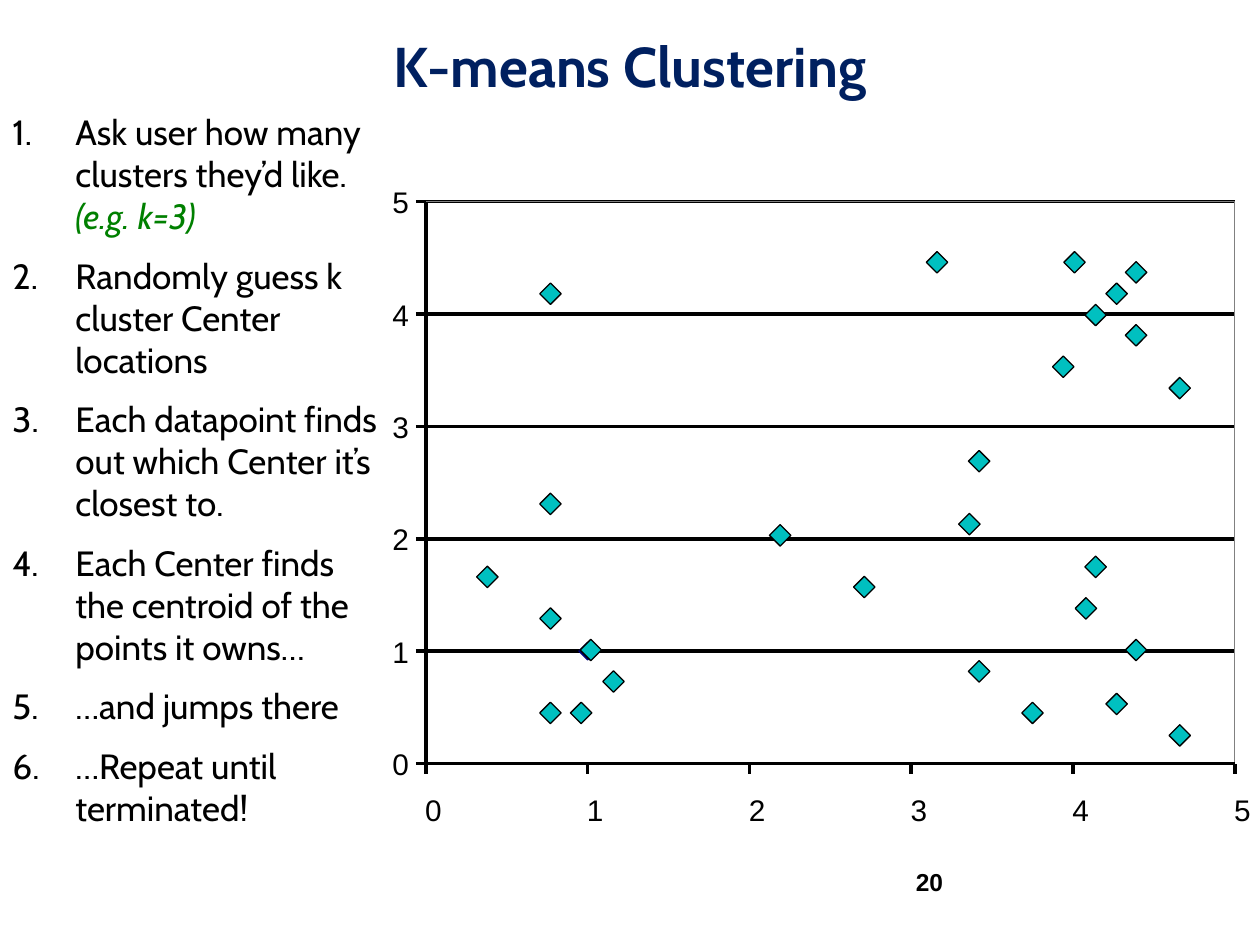
import pptx
import pptx.dml.color
import pptx.enum.shapes
import pptx.enum.text
import pptx.util
from lxml import etree
from pptx.oxml.ns import qn
from pptx.util import Inches

RGBColor = pptx.dml.color.RGBColor
MSO_SHAPE = pptx.enum.shapes.MSO_SHAPE
PP_ALIGN = pptx.enum.text.PP_ALIGN
MSO_ANCHOR = pptx.enum.text.MSO_ANCHOR
MSO_AUTO_SIZE = pptx.enum.text.MSO_AUTO_SIZE

BLACK = RGBColor(0x00, 0x00, 0x00)
WHITE = RGBColor(0xFF, 0xFF, 0xFF)
GRAY = RGBColor(0x80, 0x80, 0x80)
NAVY = RGBColor(0x00, 0x00, 0x80)
TITLE_BLUE = RGBColor(0x00, 0x20, 0x60)
GREEN = RGBColor(0x00, 0x80, 0x00)
TEAL = RGBColor(0x00, 0xC0, 0xC0)

AXIS_MAXIMUM = 5
TICK_LENGTH = 0.08
DATAPOINTS = [
    (1.02, 1.01), (1.16, 0.73), (0.96, 0.45), (0.77, 1.29), (0.77, 4.18),
    (0.77, 2.31), (0.77, 0.45), (0.38, 1.66), (2.19, 2.03), (4.01, 4.46),
    (4.39, 4.37), (4.27, 4.18), (4.14, 3.99), (4.39, 3.81), (4.66, 3.34),
    (3.16, 4.46), (3.42, 2.69), (3.42, 0.82), (3.75, 0.45), (4.08, 1.38),
    (3.36, 2.13), (2.71, 1.57), (4.39, 1.01), (4.27, 0.53), (4.14, 1.75),
    (4.66, 0.25), (3.94, 3.53),
]
STEPS = [
    [("Ask user how many clusters they’d like. ", BLACK, False),
     ("(e.g. k=3)", GREEN, True)],
    [("Randomly guess k cluster Center locations", BLACK, False)],
    [("Each datapoint finds out which Center it’s closest to.", BLACK, False)],
    [("Each Center finds the centroid of the points it owns…", BLACK, False)],
    [("…and jumps there", BLACK, False)],
    [("…Repeat until terminated!", BLACK, False)],
]


def add_text_box(slide, left, top, width, height):
    box = slide.shapes.add_textbox(Inches(left), Inches(top), Inches(width), Inches(height))
    box.text_frame.word_wrap = True
    return box.text_frame


def add_run(paragraph, text, size, font, color, bold=False, italic=False):
    run = paragraph.add_run()
    run.text = text
    run.font.size = pptx.util.Pt(size)
    run.font.name = font
    run.font.color.rgb = color
    run.font.bold = bold
    run.font.italic = italic


def add_line(slide, x1, y1, x2, y2):
    line = slide.shapes.add_connector(
        pptx.enum.shapes.MSO_CONNECTOR.STRAIGHT,
        Inches(x1), Inches(y1), Inches(x2), Inches(y2))
    line.line.color.rgb = BLACK
    line.line.width = pptx.util.Pt(0)
    etree.SubElement(line._element.spPr, qn("a:effectLst"))


def add_figure(slide, kind, left, top, width, height, fill=None, outline=None, weight=0.63):
    shape = slide.shapes.add_shape(
        kind, Inches(left), Inches(top), Inches(width), Inches(height))
    shape.shadow.inherit = False
    if fill is None:
        shape.fill.background()
    else:
        shape.fill.solid()
        shape.fill.fore_color.rgb = fill
    if outline is None:
        shape.line.fill.background()
    else:
        shape.line.color.rgb = outline
        shape.line.width = pptx.util.Pt(weight)


def add_marker(slide, x, y, size, fill, outline, weight):
    add_figure(slide, MSO_SHAPE.DIAMOND, x - size / 2, y - size / 2, size, size,
               fill, outline, weight)


def add_axis_label(slide, x, y, value):
    """Place a tick number centred on (x, y)."""
    frame = add_text_box(slide, x - 0.065, y - 0.14, 0.13, 0.28)
    frame.margin_left = frame.margin_right = frame.margin_top = frame.margin_bottom = 0
    frame.word_wrap = False
    frame.auto_size = MSO_AUTO_SIZE.SHAPE_TO_FIT_TEXT
    frame.paragraphs[0].alignment = PP_ALIGN.CENTER
    add_run(frame.paragraphs[0], str(value), 17, "Arial", BLACK)


def add_title(slide, left, top, width, height):
    frame = add_text_box(slide, left, top, width, height)
    frame.vertical_anchor = MSO_ANCHOR.BOTTOM
    paragraph = frame.paragraphs[0]
    paragraph.alignment = PP_ALIGN.CENTER
    paragraph.line_spacing = pptx.util.Pt(36)
    add_run(paragraph, "K-means Clustering", 32, "Cabin", TITLE_BLUE, bold=True)


def add_scatter_plot(slide, left, top, width, height):
    right, bottom = left + width, top + height
    ticks = range(AXIS_MAXIMUM + 1)

    def x_at(value):
        return left + width * value / AXIS_MAXIMUM

    def y_at(value):
        return bottom - height * value / AXIS_MAXIMUM

    # Plot area, gridlines and frame
    add_figure(slide, MSO_SHAPE.RECTANGLE, left, top, width, height, fill=WHITE)
    for value in ticks[1:]:
        add_line(slide, left, y_at(value), right, y_at(value))
    add_figure(slide, MSO_SHAPE.RECTANGLE, left, top, width, height, outline=GRAY)

    # Axes with ticks and numbers
    add_line(slide, left, top, left, bottom)
    add_line(slide, left, bottom, right, bottom)
    for value in ticks:
        add_line(slide, left - TICK_LENGTH, y_at(value), left, y_at(value))
        add_line(slide, x_at(value), bottom + TICK_LENGTH, x_at(value), bottom)
        add_axis_label(slide, left - 0.2, y_at(value), value)
        add_axis_label(slide, x_at(value) + 0.06, bottom + 0.36, value)

    # Navy marker at (1, 1), then the datapoints
    add_marker(slide, x_at(1), y_at(1), 0.14, NAVY, NAVY, 0.63)
    for x, y in DATAPOINTS:
        add_marker(slide, x_at(x), y_at(y), 0.17, TEAL, BLACK, 0.75)


def add_steps(slide, left, top, width, height):
    frame = add_text_box(slide, left, top, width, height)
    for index, runs in enumerate(STEPS):
        paragraph = frame.add_paragraph() if index else frame.paragraphs[0]
        if index:
            paragraph.space_before = pptx.util.Pt(10)
        for text, color, italic in runs:
            add_run(paragraph, text, 20, "Cabin", color, italic=italic)
        # Hanging number
        properties = paragraph._p.get_or_add_pPr()
        properties.set("marL", str(Inches(0.5)))
        properties.set("indent", str(Inches(-0.5)))
        bullet_color = etree.SubElement(properties, qn("a:buClr"))
        etree.SubElement(bullet_color, qn("a:srgbClr"), val=str(BLACK))
        etree.SubElement(properties, qn("a:buAutoNum"), type="arabicPeriod")


def add_slide_number(slide, left, top, width, height):
    frame = add_text_box(slide, left, top, width, height)
    add_run(frame.paragraphs[0], "20", 14, "Arial", BLACK, bold=True)


def main():
    presentation = pptx.Presentation()
    presentation.slide_width = Inches(10)
    presentation.slide_height = Inches(7.5)
    slide = presentation.slides.add_slide(presentation.slide_layouts[6])
    add_slide_number(slide, 7.17, 6.83, 2.33, 0.52)
    add_scatter_plot(slide, 3.38, 1.6, 6.42, 4.46)
    add_title(slide, 0.75, 0.25, 8.5, 0.58)
    add_steps(slide, 0, 0.83, 3.09, 6.6)
    presentation.save("out.pptx")


if __name__ == "__main__":
    main()
